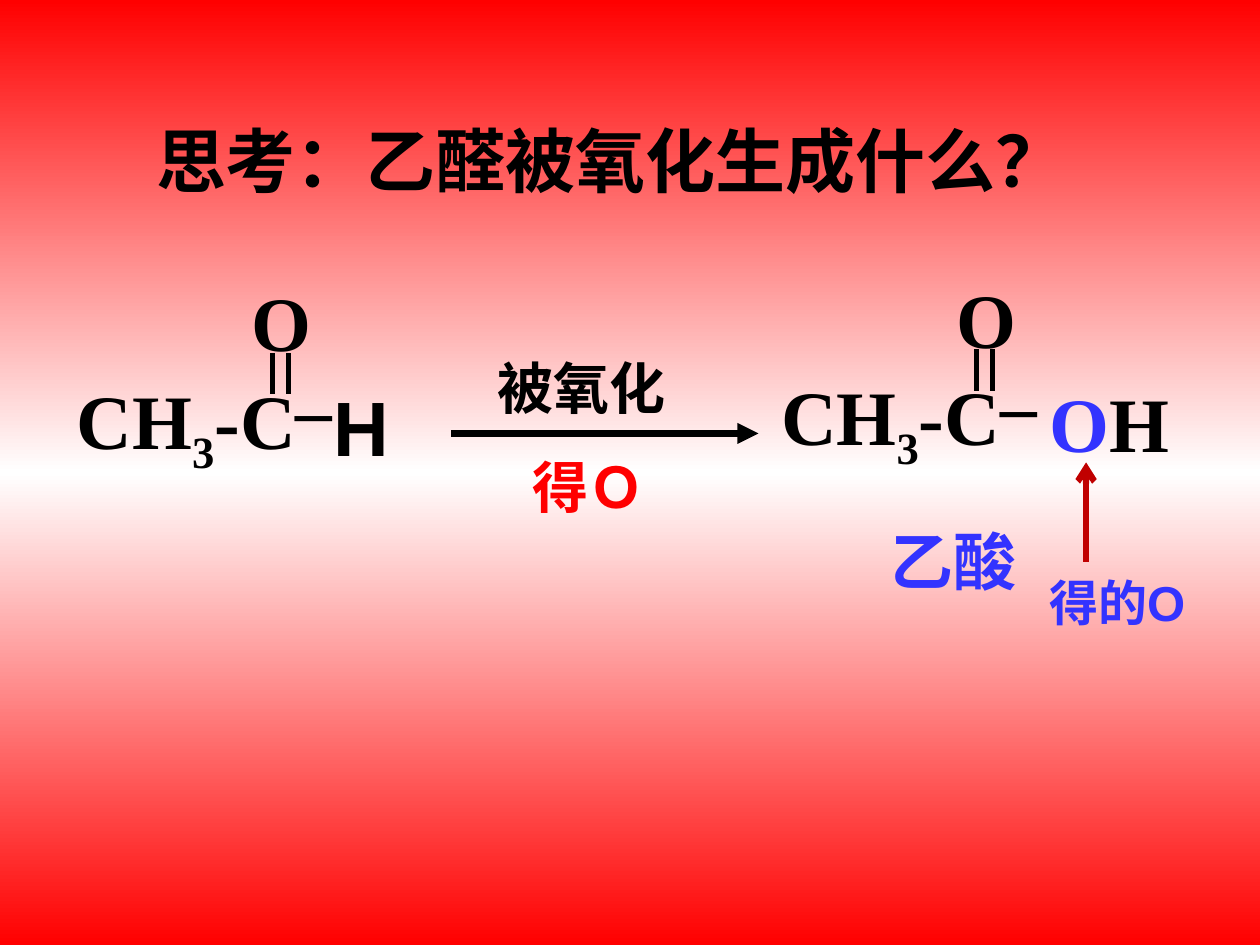
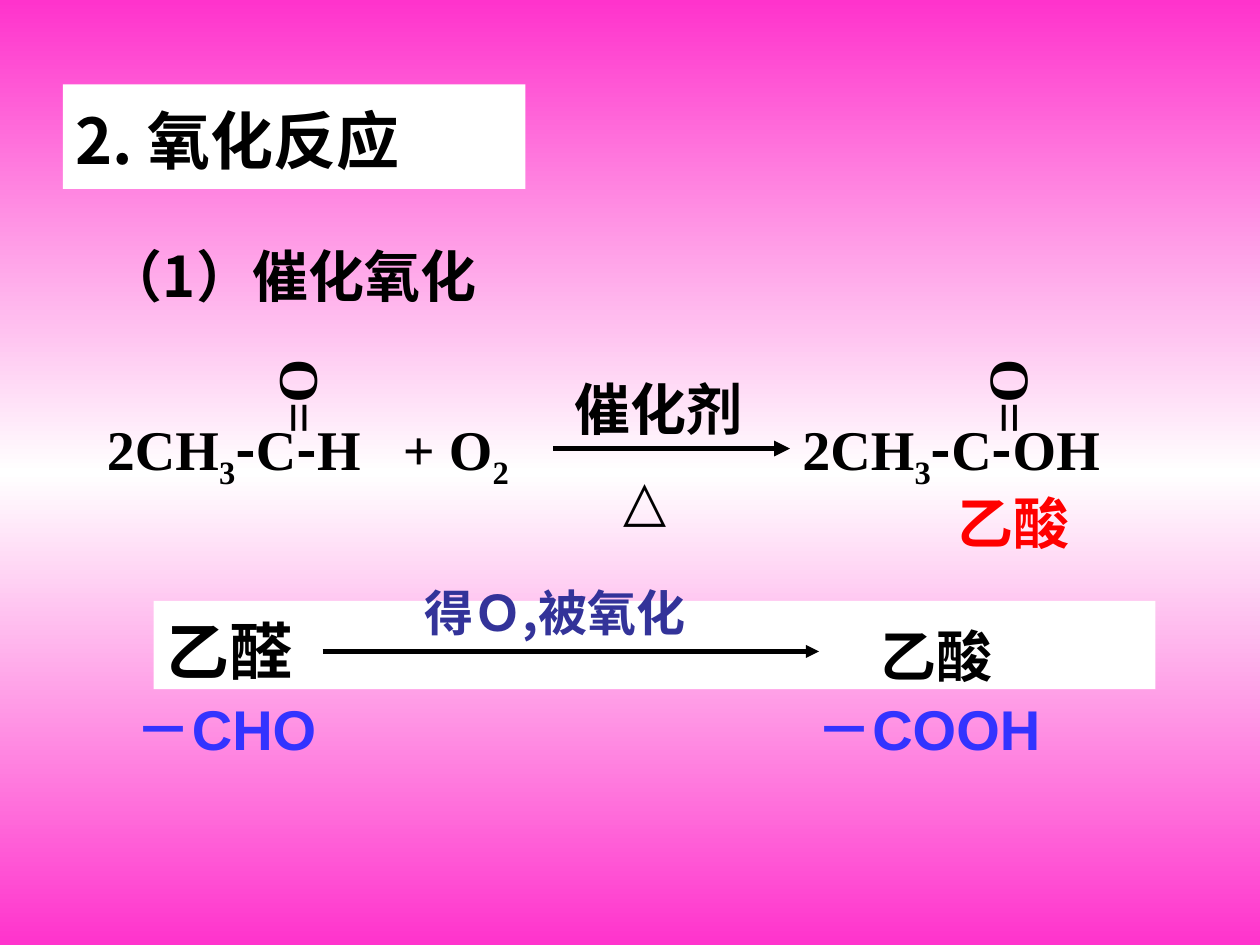
"""Build two slides on the oxidation of acetaldehyde to acetic acid."""
import copy

import lxml.etree
import pptx
import pptx.dml.color
import pptx.enum.shapes
import pptx.enum.text
import pptx.oxml.ns
import pptx.util

Inches = pptx.util.Inches
Pt = pptx.util.Pt
qn = pptx.oxml.ns.qn

COLORS = {
    "black": "000000", "white": "FFFFFF", "red": "FF0000", "dark_red": "C00000",
    "pink": "FF33CC", "blue": "3333FF", "navy": "333399",
}
RGB = {name: pptx.dml.color.RGBColor.from_string(value) for name, value in COLORS.items()}
SERIF = "Times New Roman"
SANS = "Arial"
CJK = "Noto Sans CJK SC"
CJK_JP = "Noto Sans CJK JP"
CJK_LINE = 1.28


def write(slide, text, left, top, width, height, size=32, font=SANS, color="black",
          fill=None, leading=CJK_LINE, middle=False, vertical=False, indents=(0,)):
    """Add a box; text is a string or a list of paragraphs of (text, changes) runs."""
    box = (Inches(left), Inches(top), Inches(width), Inches(height))
    if fill:
        shape = slide.shapes.add_shape(pptx.enum.shapes.MSO_SHAPE.RECTANGLE, *box)
        shape.shadow.inherit = False
        shape.fill.solid()
        shape.fill.fore_color.rgb = RGB[fill]
        shape.line.fill.background()
    else:
        shape = slide.shapes.add_textbox(*box)
    frame = shape.text_frame
    frame.word_wrap = not vertical
    anchors = pptx.enum.text.MSO_ANCHOR
    frame.vertical_anchor = anchors.MIDDLE if middle else anchors.TOP
    if vertical:
        frame._txBody.bodyPr.set("vert", "eaVert")
        frame.margin_left = frame.margin_right = Inches(0.05)
        frame.margin_top = frame.margin_bottom = Inches(0.1)
    paragraphs = [[(text, {})]] if isinstance(text, str) else text
    for index, (runs, indent) in enumerate(zip(paragraphs, indents)):
        paragraph = frame.add_paragraph() if index else frame.paragraphs[0]
        paragraph.alignment = pptx.enum.text.PP_ALIGN.LEFT
        if indent:
            paragraph._p.get_or_add_pPr().set("marL", str(Inches(indent)))
        if leading:
            paragraph.line_spacing = Pt(round(size * leading))
        if index:
            paragraph.space_before = Pt(20)
        for run_text, changes in runs:
            run = paragraph.add_run()
            run.text = run_text
            run.font.size = Pt(changes.get("size", size))
            run.font.bold = True
            run.font.color.rgb = RGB[changes.get("color", color)]
            run.font.name = changes.get("font", font)
            properties = run._r.get_or_add_rPr()
            east_asian = CJK_JP if font == CJK_JP else CJK
            lxml.etree.SubElement(properties, qn("a:ea")).set("typeface", east_asian)
            if "baseline" in changes:
                properties.set("baseline", str(changes["baseline"] * 1000))


def draw_line(slide, start, end, width, color="black", head=None):
    """Add a straight line, with an arrowhead at its end when one is named."""
    line = slide.shapes.add_connector(
        pptx.enum.shapes.MSO_CONNECTOR.STRAIGHT, *map(Inches, start + end))
    line.line.width = Pt(width)
    line.line.color.rgb = RGB[color]
    if head:
        lxml.etree.SubElement(line.line._get_or_add_ln(), qn("a:tailEnd")).set("type", head)
    lxml.etree.SubElement(line._element.spPr, qn("a:effectLst"))


presentation = pptx.Presentation()
presentation.slide_width = Inches(10)
presentation.slide_height = Inches(7.5)

slides = []
for edge_color in ("red", "pink"):
    slide = presentation.slides.add_slide(presentation.slide_layouts[6])
    fill = slide.background.fill
    fill.gradient()
    fill.gradient_angle = 90
    stop_list = slide._element.find(".//" + qn("a:gsLst"))
    stop_list.append(copy.deepcopy(stop_list[-1]))
    for stop, position, name in zip(fill.gradient_stops, (0, 0.5, 1),
                                    (edge_color, "white", edge_color)):
        stop.position = position
        stop.color.rgb = RGB[name]
    slides.append(slide)
question_slide, reaction_slide = slides

subscript = {"baseline": -25}
carbonyl = [[("CH", {}), ("3", subscript), ("-C", {}), ("_", {"size": 72, "baseline": 30})]]
for left, top in ((0.51, 2.49), (6.1, 2.46)):
    write(question_slide, carbonyl, left, top, 2.95, 1.33, size=44, font=SERIF, leading=2.05)
    write(question_slide, "O", left + 1.39, top - 0.36, 0.87, 0.84,
          size=44, font=SERIF, leading=1.21)
    for offset in (1.65, 1.78):
        draw_line(question_slide, (left + offset, top + 0.31),
                  (left + offset, top + 0.64), 3)
write(question_slide, "H", 2.55, 2.96, 1.38, 0.84, size=44, leading=1.21)
write(question_slide, [[("O", {"color": "blue"}), ("H", {})]], 8.23, 2.93, 1.65, 0.84,
      size=44, font=SERIF, leading=1.21)
draw_line(question_slide, (3.58, 3.44), (6.02, 3.44), 4, head="triangle")
draw_line(question_slide, (8.62, 4.46), (8.62, 3.67), 3.5, "dark_red", "arrow")

write(question_slide, "思考：乙醛被氧化生成什么？", 1.14, 0.84, 8.86, 0.77, size=40)
write(question_slide, "乙酸", 6.97, 4.06, 2.05, 0.7, size=36, color="blue")
write(question_slide, "被氧化", 3.85, 2.72, 2.25, 0.64)
write(question_slide, "得Ｏ", 4.13, 3.51, 1.65, 0.64, color="red")
write(question_slide, "得的O", 8.23, 4.46, 1.5, 0.57, size=28, color="blue")

write(reaction_slide, "2. 氧化反应", 0.5, 0.67, 3.67, 0.83, size=36, font=CJK,
      fill="white", middle=True)
write(reaction_slide, "（1）催化氧化", 0.75, 1.83, 5.82, 0.67, font=CJK_JP)

hyphen = ("-", {"font": CJK})
for ending, left, oxygen_left in (("H", 0.75, 1.99), ("OH", 6.27, 7.63)):
    formula = [[("2CH", {}), ("3", subscript), hyphen, ("C", {}), hyphen, (ending, {})]]
    write(reaction_slide, formula, left, 3.22, 2.98, 0.71, font=SERIF, leading=1.4)
    write(reaction_slide, "O=", oxygen_left, 2.75, 0.73, 0.7, font=SERIF,
          leading=None, vertical=True)
write(reaction_slide, [[("+ O", {}), ("2", subscript)]], 3.1, 3.22, 1.3, 0.71,
      font=SERIF, leading=1.4)
draw_line(reaction_slide, (4.39, 3.56), (6.27, 3.56), 3, head="triangle")
write(reaction_slide, [[("催化剂", {})], [("△", {})]], 4.46, 3.03, 1.79, 1.13,
      font=SERIF, leading=0.97, indents=(0, 0.39))
write(reaction_slide, "乙酸", 7.5, 3.79, 1.33, 0.67, font=CJK_JP, color="red")

write(reaction_slide, "乙醛", 1.22, 4.77, 7.95, 0.7, size=36, font=SERIF, fill="white")
draw_line(reaction_slide, (2.56, 5.17), (6.5, 5.17), 2.5, head="triangle")
write(reaction_slide, "得Ｏ,被氧化", 3.27, 4.54, 3.94, 0.57, size=28, font=CJK, color="navy")
write(reaction_slide, "乙酸", 6.89, 4.85, 1.81, 0.64)
for group, left in (("－CHO", 0.98), ("－COOH", 6.38)):
    write(reaction_slide, group, left, 5.43, 3, 0.64, color="blue")

presentation.save("out.pptx")
